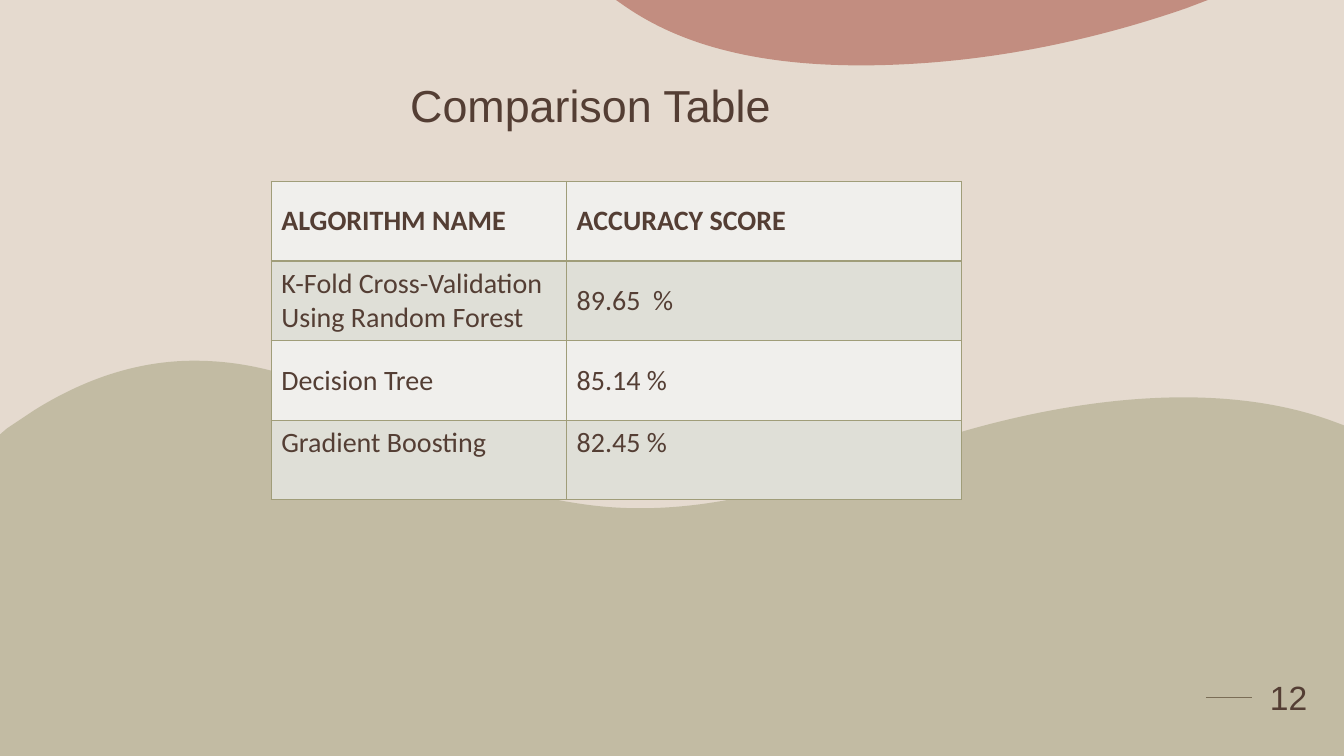
from dataclasses import dataclass

from lxml import etree
from pptx import Presentation
from pptx.dml.color import RGBColor
from pptx.enum.shapes import MSO_CONNECTOR
from pptx.enum.text import MSO_ANCHOR, PP_ALIGN
from pptx.oxml.ns import qn
from pptx.util import Inches, Pt

STRAIGHT = MSO_CONNECTOR.STRAIGHT
TOP, MIDDLE, BOTTOM = MSO_ANCHOR.TOP, MSO_ANCHOR.MIDDLE, MSO_ANCHOR.BOTTOM
LEFT, CENTER = PP_ALIGN.LEFT, PP_ALIGN.CENTER
LEFT_SIDE = 1


@dataclass(frozen=True)
class Theme:
    background: str = "E5DACF"
    ink: str = "543E34"
    olive: str = "A09D79"
    clay: str = "AC5B4C"
    bands: tuple = ("F0EFEC", "DFDFD7")
    heading_font: str = "Arial"
    table_font: str = "Calibri"
    title_size: int = 32
    number_size: int = 24
    table_size: int = 20
    border_width: float = 1
    rule_width: float = 1.25


THEME = Theme()

# Outlines in inches from the box corner: two numbers are a line, six a curve
WAVE = [
    (2.02, 0),
    (2.36, 0.01, 2.7, 0.08, 3.04, 0.21),
    (3.34, 0.32, 3.6, 0.5, 3.86, 0.67),
    (4.43, 1.04, 5.05, 1.32, 5.77, 1.42),
    (6.37, 1.51, 6.98, 1.45, 7.59, 1.3),
    (8.27, 1.14, 8.67, 0.99, 9.08, 0.85),
    (9.48, 0.71, 11.61, -0.01, 13.25, 0.61),
    (13.33, 0.64), (13.33, 3.92), (0, 3.92), (0, 0.73), (0.07, 0.67),
    (0.16, 0.61, 0.25, 0.55, 0.34, 0.49),
    (0.9, 0.14, 1.46, -0.02, 2.02, 0),
]
BLOB = [
    (0, 0), (5.87, 0), (5.66, 0.08),
    (4.45, 0.5, 3.5, 0.59, 3.13, 0.62),
    (1.45, 0.75, 0.6, 0.41, 0.1, 0.07),
]

COLUMN_WIDTHS = (2.93, 3.92)
ROWS = [
    ("ALGORITHM NAME", "ACCURACY SCORE"),
    ("K-Fold Cross-Validation Using Random Forest", "89.65  %"),
    ("Decision Tree", "85.14 %"),
    ("Gradient Boosting", "82.45 %"),
]


def color(name):
    return RGBColor.from_string(name)


def style_text(frame, font, size, bold=False, align=LEFT):
    for para in frame.paragraphs:
        para.alignment = align
        for span in para.runs:
            span.font.name = font
            span.font.size = Pt(size)
            span.font.bold = bold
            span.font.color.rgb = color(THEME.ink)


def add_label(page, box, text, size, anchor, align=LEFT):
    label = page.shapes.add_textbox(*map(Inches, box))
    frame = label.text_frame
    frame.word_wrap = True
    frame.vertical_anchor = anchor
    frame.text = text
    style_text(frame, THEME.heading_font, size, align=align)
    return label


def bend_segments(shape, outline):
    """Turn the straight segments of an outline into its cubic curves."""
    lines = list(shape._element.iter(qn("a:lnTo")))
    for line, segment in zip(lines, outline[1:]):
        if len(segment) == 6:
            curve = etree.Element(qn("a:cubicBezTo"))
            for x, y in zip(segment[::2], segment[1::2]):
                etree.SubElement(curve, qn("a:pt"), x=str(Inches(x)), y=str(Inches(y)))
            line.getparent().replace(line, curve)


def add_backdrop_shape(page, corner, outline, fill, opacity):
    left, top = corner
    points = [(Inches(left + segment[-2]), Inches(top + segment[-1])) for segment in outline]
    builder = page.shapes.build_freeform(*points[0])
    builder.add_line_segments(points[1:], close=True)
    shape = builder.convert_to_shape()
    bend_segments(shape, outline)
    shape.shadow.inherit = False
    shape.line.fill.background()
    shape.fill.solid()
    shape.fill.fore_color.rgb = color(fill)
    tint = shape._element.spPr.find(qn("a:solidFill"))[0]
    etree.SubElement(tint, qn("a:alpha"), val=str(opacity * 1000))


def add_title(page, box, text):
    title = add_label(page, box, text, THEME.title_size, BOTTOM)
    title.text_frame.paragraphs[0].line_spacing = 0.9


def add_borders(cell):
    properties = cell._tc.get_or_add_tcPr()
    for side in ("L", "R", "T", "B"):
        line = etree.SubElement(properties, qn(f"a:ln{side}"), w=str(Pt(THEME.border_width)))
        fill = etree.SubElement(line, qn("a:solidFill"))
        etree.SubElement(fill, qn("a:srgbClr"), val=THEME.olive)


def add_score_table(page, box):
    frame = page.shapes.add_table(len(ROWS), len(COLUMN_WIDTHS), *map(Inches, box))
    table = frame.table
    for column, width in zip(table.columns, COLUMN_WIDTHS):
        column.width = Inches(width)
    for index, texts in enumerate(ROWS):
        table.rows[index].height = Inches(box[3] / len(ROWS))
        for cell, text in zip(table.rows[index].cells, texts):
            cell.text = text
            cell.vertical_anchor = TOP if index == len(ROWS) - 1 else MIDDLE
            style_text(cell.text_frame, THEME.table_font, THEME.table_size, bold=index == 0)
            add_borders(cell)
            cell.fill.solid()
            cell.fill.fore_color.rgb = color(THEME.bands[index % 2])


def add_rule(page, box, length):
    """Draw the short line that leads to the left side of a box."""
    left, top, _, height = box
    middle = Inches(top + height / 2)
    rule = page.shapes.add_connector(
        STRAIGHT, Inches(left - length), middle, Inches(left), middle)
    rule.line.color.rgb = color(THEME.ink)
    rule.line.width = Pt(THEME.rule_width)
    etree.SubElement(rule._element.spPr, qn("a:effectLst"))
    return rule


def main():
    deck = Presentation()
    deck.slide_width, deck.slide_height = Inches(13.33), Inches(7.5)
    page = deck.slides.add_slide(deck.slide_layouts[6])
    page.background.fill.solid()
    page.background.fill.fore_color.rgb = color(THEME.background)

    # Backdrop: the rule lies under the translucent wave
    number_box = (12.42, 6.43, 0.72, 0.98)
    rule = add_rule(page, number_box, 0.46)
    add_backdrop_shape(page, (0, 3.58), WAVE, THEME.olive, 50)
    add_backdrop_shape(page, (6.11, 0), BLOB, THEME.clay, 60)

    # Content
    add_title(page, (3.97, 0.36, 11.33, 1), "Comparison Table")
    add_score_table(page, (2.69, 1.8, sum(COLUMN_WIDTHS), 3.16))

    # Page number
    number = add_label(page, number_box, "12", THEME.number_size, MIDDLE, CENTER)
    rule.end_connect(number, LEFT_SIDE)
    deck.save("out.pptx")


if __name__ == "__main__":
    main()
